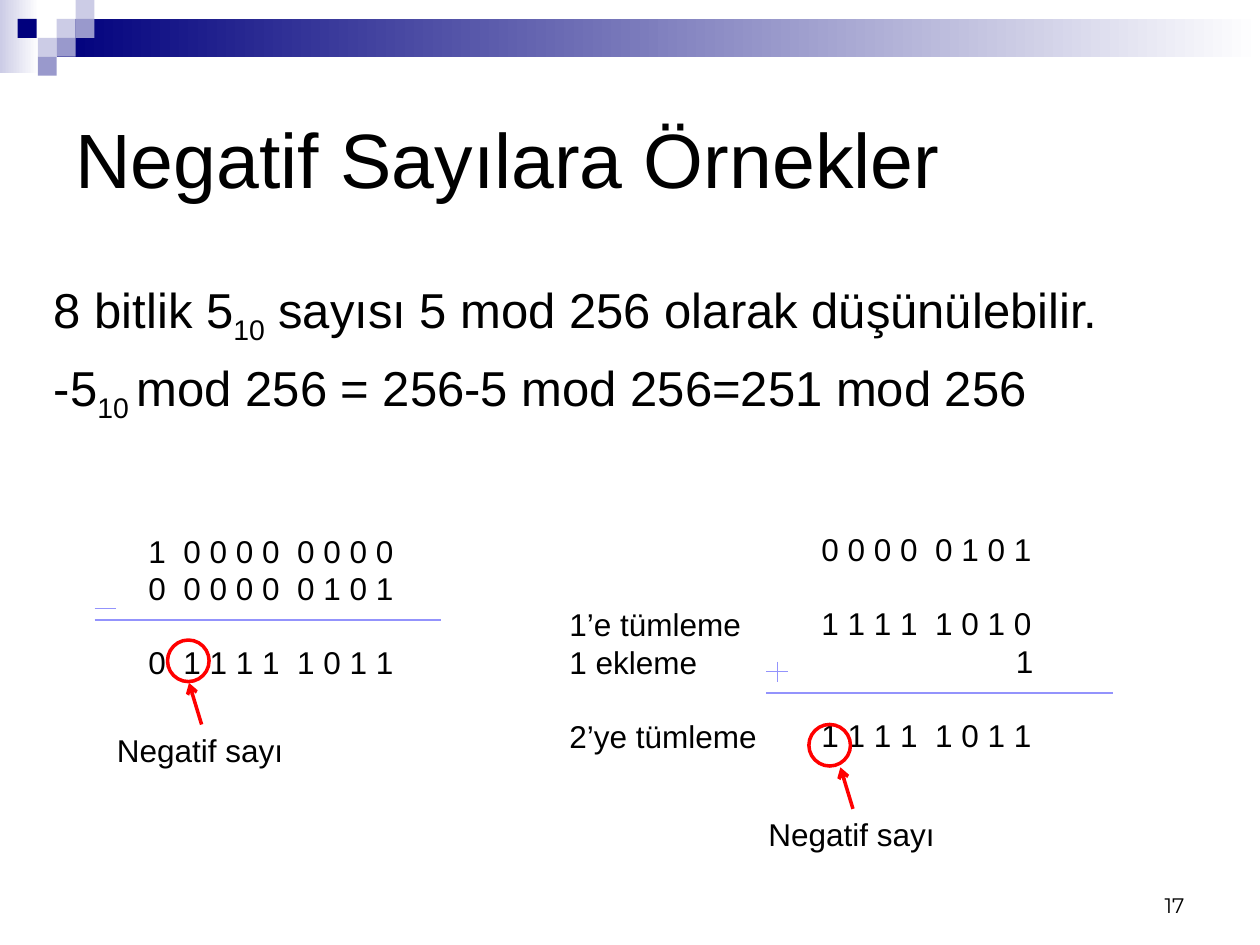
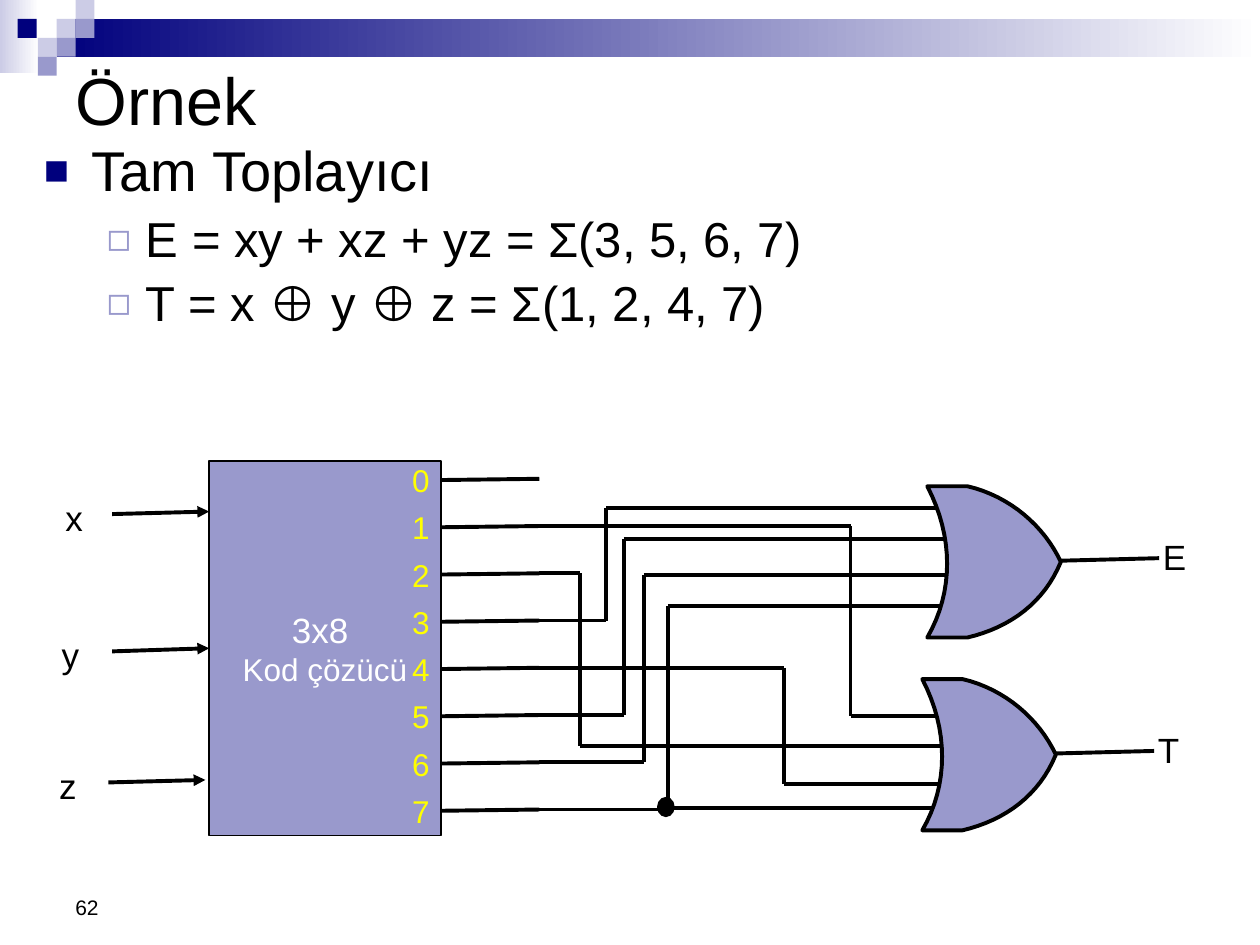
"""Build two slides on negative binary numbers and a full adder made from a decoder."""
from dataclasses import dataclass
from itertools import pairwise

from lxml import etree
from pptx import Presentation
from pptx.dml.color import RGBColor
from pptx.enum.shapes import MSO_CONNECTOR, MSO_SHAPE
from pptx.enum.text import MSO_ANCHOR, PP_ALIGN
from pptx.oxml.ns import qn
from pptx.util import Inches, Pt

RECTANGLE, ELLIPSE = MSO_SHAPE.RECTANGLE, MSO_SHAPE.OVAL
STRAIGHT = MSO_CONNECTOR.STRAIGHT
TOP, MIDDLE, BOTTOM = MSO_ANCHOR.TOP, MSO_ANCHOR.MIDDLE, MSO_ANCHOR.BOTTOM
LEFT, CENTER, RIGHT = PP_ALIGN.LEFT, PP_ALIGN.CENTER, PP_ALIGN.RIGHT
LEFT_SIDE = 1

COLORS = {
    "black": "000000", "white": "FFFFFF", "navy": "00007D", "lavender": "9999CC",
    "pale": "CCCCE6", "rule": "9393FC", "red": "FF0000", "yellow": "FFFF00",
}
BLANK_LINE = 20.7
WIRE = 2.25
SQUARE = 0.15


@dataclass(frozen=True)
class Bullet:
    char: str
    color: str
    percent: int
    margin: float
    hanging: float


@dataclass(frozen=True)
class Line:
    """A paragraph whose text between bars is subscript."""
    text: str
    size: float | None = None
    gap: float = 0
    align: PP_ALIGN | None = None
    spacing: float | None = None
    bullet: Bullet | None = None


@dataclass(frozen=True)
class SignMark:
    left: float
    top: float
    label_left: float
    arrow_foot: float


@dataclass(frozen=True)
class Route:
    output: int
    turn: float
    gate_input: float


@dataclass(frozen=True)
class Gate:
    left: float
    top: float
    name: str


@dataclass(frozen=True)
class Input:
    name: str
    left: float
    top: float
    arrow_left: float


SQUARES = [
    (0.45, 0.15, "pale"), (0.6, 0, "pale"), (0.6, 0.15, "lavender"),
    (0.3, 0.3, "pale"), (0.14, 0.15, "navy"), (0.45, 0.3, "lavender"),
    (0.3, 0.45, "lavender"),
]
MAIN_BULLET = Bullet("■", "navy", 75, 0.38, 0.38)
SUB_BULLET = Bullet("◻", "lavender", 80, 0.81, 0.31)
SIGN_MARKS = [SignMark(1.33, 5.08, 0.83, 1.6), SignMark(6.42, 5.75, 6, 6.77)]
INPUTS = [Input("x", 0.52, 3.94, 0.89), Input("y", 0.49, 5.03, 0.89),
          Input("z", 0.47, 6.07, 0.86)]
ROUTES = [
    Route(1, 6.75, 5.68), Route(2, 4.6, 5.92), Route(3, 4.81, 4.03),
    Route(4, 6.22, 6.22), Route(5, 4.95, 4.28), Route(6, 5.11, 4.56),
    Route(7, 5.3, 4.81),
]
GATES = [Gate(7.32, 5.39, "T"), Gate(7.36, 3.86, "E")]
OUTPUT_TOP, OUTPUT_PITCH = 3.8, 0.375
DECODER_RIGHT, STUB_END, GATE_ENTRY = 3.5, 4.28, 7.6


def rgb(name: str) -> RGBColor:
    return RGBColor.from_string(COLORS[name])


def add_bullet(paragraph, bullet: Bullet) -> None:
    properties = paragraph._p.get_or_add_pPr()
    properties.set("marL", str(Inches(bullet.margin)))
    properties.set("indent", str(-Inches(bullet.hanging)))
    tint = etree.SubElement(properties, qn("a:buClr"))
    etree.SubElement(tint, qn("a:srgbClr"), val=COLORS[bullet.color])
    etree.SubElement(properties, qn("a:buSzPct"), val=str(bullet.percent * 1000))
    etree.SubElement(properties, qn("a:buFont"), typeface="Arial")
    etree.SubElement(properties, qn("a:buChar"), char=bullet.char)


def write(frame, *lines: Line | str, size: float = 18, color: str = "black",
          font: str = "Arial", align: PP_ALIGN = LEFT, anchor: MSO_ANCHOR = TOP,
          wrap: bool = True, inset: bool = True) -> None:
    frame.word_wrap, frame.vertical_anchor = wrap, anchor
    if not inset:
        frame.margin_left = frame.margin_right = 0
        frame.margin_top = frame.margin_bottom = 0
    for number, item in enumerate(lines):
        line = Line(item) if isinstance(item, str) else item
        paragraph = frame.add_paragraph() if number else frame.paragraphs[0]
        paragraph.alignment = line.align or align
        paragraph.space_before = Pt(line.gap)
        if line.spacing:
            paragraph.line_spacing = line.spacing
        if line.bullet:
            add_bullet(paragraph, line.bullet)
        for part, text in enumerate(line.text.split("|")):
            run = paragraph.add_run()
            run.text = text
            run.font.name, run.font.size = font, Pt(line.size or size)
            run.font.color.rgb = rgb(color)
            if part % 2:
                run._r.get_or_add_rPr().set("baseline", "-25000")


def add_text(slide, box: tuple, *lines: Line | str, **style) -> None:
    write(slide.shapes.add_textbox(*map(Inches, box)).text_frame, *lines, **style)


def paint(shape, fill: str | None, line: str | None = None, width: float = 0.75) -> None:
    shape.shadow.inherit = False
    if fill:
        shape.fill.solid()
        shape.fill.fore_color.rgb = rgb(fill)
    else:
        shape.fill.background()
    if line:
        shape.line.color.rgb = rgb(line)
        shape.line.width = Pt(width)
    else:
        shape.line.fill.background()


def add_shape(slide, kind: MSO_SHAPE, box: tuple, fill: str | None,
              line: str | None = None, width: float = 0.75):
    shape = slide.shapes.add_shape(kind, *map(Inches, box))
    paint(shape, fill, line, width)
    return shape


def add_line(slide, start: tuple, end: tuple, color: str = "black",
             width: float = WIRE, head: str | None = None):
    line = slide.shapes.add_connector(STRAIGHT, *map(Inches, (*start, *end)))
    line.line.color.rgb = rgb(color)
    line.line.width = Pt(width)
    if head:
        etree.SubElement(line.line._get_or_add_ln(), qn("a:tailEnd"), type=head)
    etree.SubElement(line._element.spPr, qn("a:effectLst"))
    return line


def add_band(slide, box: tuple, start_color: str) -> None:
    band = add_shape(slide, RECTANGLE, box, start_color)
    band.fill.gradient()
    band.fill.gradient_angle = 0
    for stop, color, position in zip(band.fill.gradient_stops, (start_color, "white"), (0, 1)):
        stop.color.rgb = rgb(color)
        stop.position = position


def start_slide(deck, title: str, title_height: float, title_size: float):
    slide = deck.slides.add_slide(deck.slide_layouts[6])
    add_band(slide, (0, 0, 0.31, 0.58), "pale")
    add_band(slide, (0.45, 0.15, 9.55, 0.3), "navy")
    for left, top, color in SQUARES:
        add_shape(slide, RECTANGLE, (left, top, SQUARE, SQUARE), color)
    add_text(slide, (0.5, 0.5, 9, title_height), title, size=title_size, anchor=MIDDLE)
    return slide


def add_sign_mark(slide, mark: SignMark) -> None:
    add_shape(slide, ELLIPSE, (mark.left, mark.top, 0.33, 0.33), None, "red", 2)
    add_text(slide, (mark.label_left, mark.top + 0.67, 1.6, 0.4), "Negatif sayı")
    add_line(slide, (mark.arrow_foot, mark.top + 0.67),
             (mark.arrow_foot - 0.1, mark.top + 0.34), "red", 2, "arrow")


def curve(p0: tuple, p1: tuple, p2: tuple, p3: tuple, steps: int = 16) -> list[tuple]:
    """Return points along a cubic curve, without its start."""
    points = []
    for step in range(1, steps + 1):
        t = step / steps
        weights = ((1 - t) ** 3, 3 * t * (1 - t) ** 2, 3 * t * t * (1 - t), t ** 3)
        points.append(tuple(sum(w * p[axis] for w, p in zip(weights, (p0, p1, p2, p3)))
                            for axis in (0, 1)))
    return points


def add_gate(slide, gate: Gate) -> None:
    tip = (1.06, 0.6)
    outline = [
        *curve(tip, (0.93, 0.92), (0.66, 1.12), (0.32, 1.2)), (0, 1.2),
        *curve((0, 1.2), (0.21, 0.84), (0.21, 0.4), (0, 0)), (0.32, 0),
        *curve((0.32, 0), (0.66, 0.08), (0.93, 0.32), tip),
    ]
    points = [(Inches(gate.left + x), Inches(gate.top + y)) for x, y in [tip, *outline]]
    builder = slide.shapes.build_freeform(*points[0])
    builder.add_line_segments(points[1:], close=True)
    paint(builder.convert_to_shape(), "lavender", "black", WIRE)
    tip_x, tip_y = gate.left + tip[0], gate.top + tip[1]
    add_line(slide, (tip_x, tip_y - 0.01), (tip_x + 0.78, tip_y - 0.03))
    add_text(slide, (tip_x + 0.81, tip_y - 0.21, 0.19, 0.34), gate.name, size=20, inset=False)


def build_negative_numbers(deck) -> None:
    slide = start_slide(deck, "Negatif Sayılara Örnekler", 1.5, 44)
    add_text(slide, (0.33, 2.17, 9, 1.83),
             Line("8 bitlik 5|10| sayısı 5 mod 256 olarak düşünülebilir.", gap=6.4),
             Line("-5|10 |mod 256 = 256-5 mod 256=251 mod 256", gap=6.4), size=28)
    add_text(slide, (7.17, 6.83, 2.33, 0.5), "17", size=12, font="Montserrat",
             align=RIGHT, anchor=BOTTOM)
    add_text(slide, (1.08, 4.17, 2.2, 1.31), "1  0 0 0 0  0 0 0 0", "0  0 0 0 0  0 1 0 1",
             Line("0  1 1 1 1  1 0 1 1", gap=BLANK_LINE))
    add_text(slide, (6.42, 4.16, 1.88, 1.92), "0 0 0 0  0 1 0 1",
             Line("1 1 1 1  1 0 1 0", gap=BLANK_LINE), Line("1", align=RIGHT),
             Line("1 1 1 1  1 0 1 1", gap=BLANK_LINE))
    add_text(slide, (4.42, 4.75, 1.8, 1.31), "1’e tümleme", "1 ekleme",
             Line("2’ye tümleme", gap=BLANK_LINE))
    minus, plus_across, plus_down = (
        ((0.75, 4.83), (0.92, 4.83)), ((6.08, 5.33), (6.25, 5.33)), ((6.17, 5.25), (6.17, 5.41)))
    sum_rules = [((left, top), (left + 2.75, top)) for left, top in ((0.75, 4.92), (6.08, 5.5))]
    for start, end in (minus, plus_across, plus_down, *sum_rules):
        add_line(slide, start, end, "rule", 0.75)
    for mark in SIGN_MARKS:
        add_sign_mark(slide, mark)


def build_full_adder(deck) -> None:
    slide = start_slide(deck, "Örnek", 0.57, 38)
    add_text(slide, (0.5, 6.83, 2.33, 0.52), "62", size=12, anchor=BOTTOM)
    add_text(slide, (0.25, 1.09, 9.58, 1.63),
             Line("Tam Toplayıcı", 32, gap=7.4, spacing=0.9, bullet=MAIN_BULLET),
             *(Line(formula, gap=6.4, spacing=0.9, bullet=SUB_BULLET) for formula in (
                 "E = xy + xz + yz = Σ(3, 5, 6, 7)", "T = x ⊕ y ⊕ z = Σ(1, 2, 4, 7)")),
             size=28)
    decoder = add_shape(slide, RECTANGLE, (1.66, 3.66, 1.84, 2.97), "lavender", "black")
    write(decoder.text_frame, Line("3x8 ", 20), "Kod çözücü", color="white",
          align=CENTER, anchor=MIDDLE, wrap=False)
    for pin in INPUTS:
        add_text(slide, (pin.left, pin.top, 0.16, 0.33), pin.name, size=20, inset=False)
        arrow = add_line(slide, (pin.arrow_left, pin.top + 0.14),
                         (pin.arrow_left + 0.77, pin.top + 0.12), head="triangle")
        if pin.name == "y":
            arrow.end_connect(decoder, LEFT_SIDE)
    levels = [OUTPUT_TOP + OUTPUT_PITCH * output for output in range(8)]
    for output, level in enumerate(levels):
        add_line(slide, (DECODER_RIGHT, level + 0.01), (STUB_END, level))
        add_text(slide, (3.27, level - 0.14, 0.15, 0.3), str(output), color="yellow", inset=False)
    for route in ROUTES:
        level = levels[route.output]
        corners = [(STUB_END, level), (route.turn, level), (route.turn, route.gate_input),
                   (GATE_ENTRY, route.gate_input)]
        for start, end in pairwise(corners):
            add_line(slide, start, end)
    add_line(slide, (5.3, 6.41), (GATE_ENTRY, 6.41))
    add_shape(slide, ELLIPSE, (5.22, 6.33, 0.13, 0.15), "black", "black")
    for gate in GATES:
        add_gate(slide, gate)


def main() -> None:
    deck = Presentation()
    deck.slide_width, deck.slide_height = Inches(10), Inches(7.5)
    build_negative_numbers(deck)
    build_full_adder(deck)
    deck.save("out.pptx")


if __name__ == "__main__":
    main()
